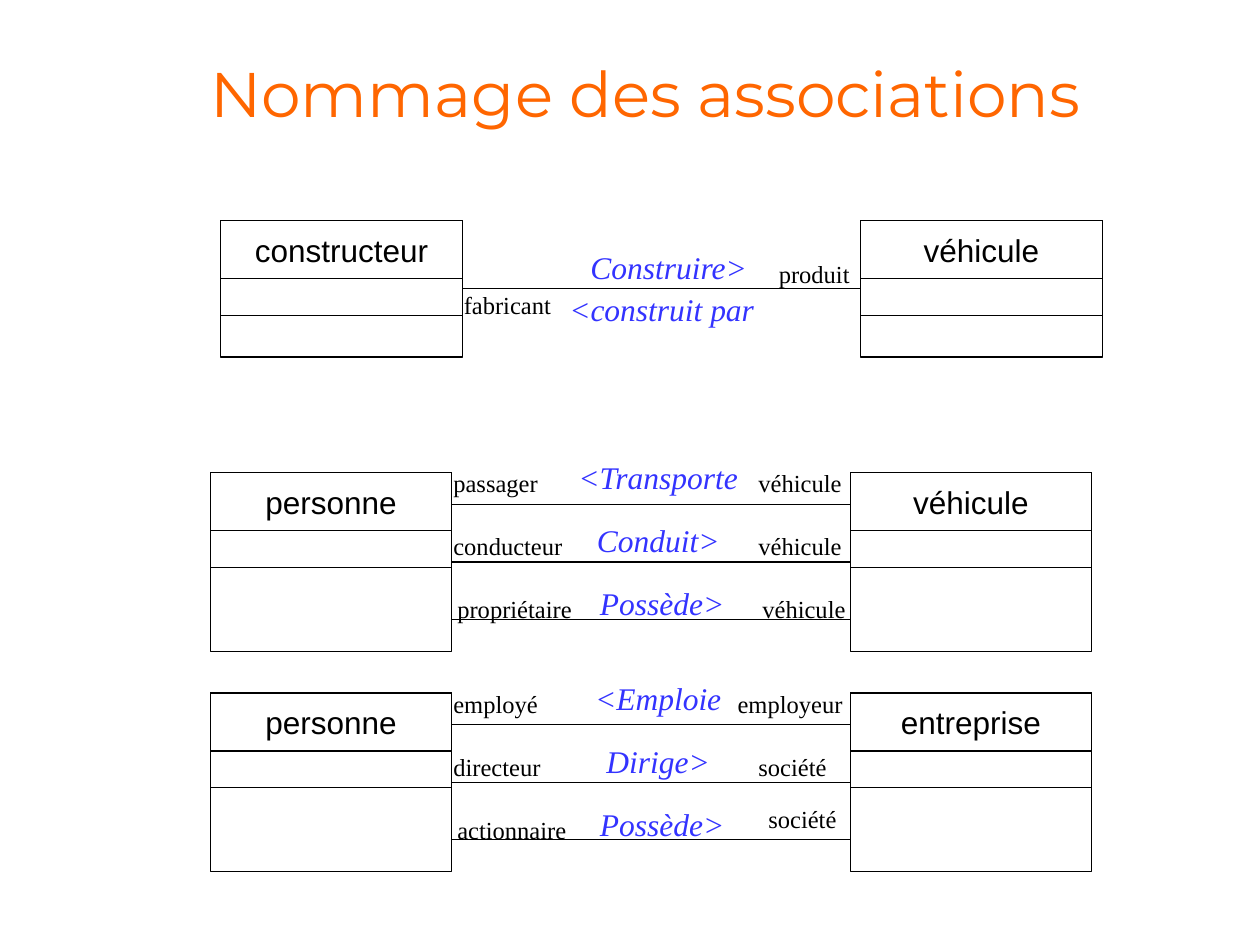
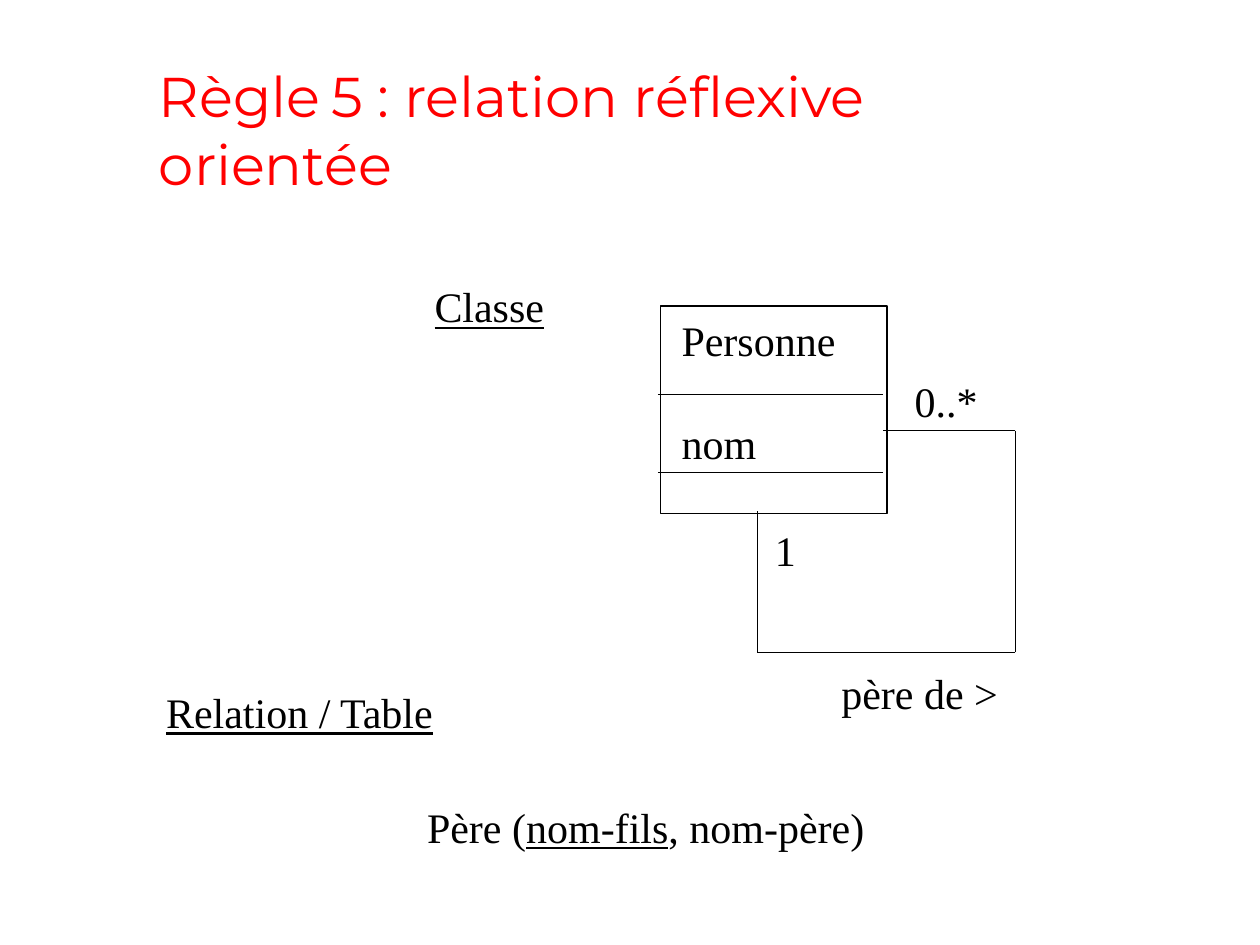
from itertools import pairwise

from pptx import Presentation
from pptx.dml.color import RGBColor
from pptx.enum.shapes import MSO_CONNECTOR, MSO_SHAPE
from pptx.enum.text import MSO_ANCHOR, MSO_AUTO_SIZE, PP_ALIGN
from pptx.oxml.ns import qn
from pptx.util import Cm, Pt
from lxml import etree

LEFT, CENTER = PP_ALIGN.LEFT, PP_ALIGN.CENTER
TOP, MIDDLE, BOTTOM = MSO_ANCHOR.TOP, MSO_ANCHOR.MIDDLE, MSO_ANCHOR.BOTTOM
RECTANGLE, STRAIGHT = MSO_SHAPE.RECTANGLE, MSO_CONNECTOR.STRAIGHT
NO_FIT = MSO_AUTO_SIZE.NONE
TITLE_ONLY = 5

BLACK, ORANGE, RED, BLUE = "000000", "FF6600", "FF0000", "3333FF"
TITLE_FONT, CLASS_FONT, TEXT_FONT = "Montserrat", "Arial", "Times New Roman"
LINE_WIDTH = 0.75

CLASS_WIDTH, HEADING_HEIGHT, DIVIDER_OFFSET = 4.87, 1.17, 1.91
CLASS_DISTANCE = 12.9
VERB_CENTER, LEFT_ROLE_OFFSET, RIGHT_ROLE_OFFSET = 9.03, 4.65, 10.8
FIRST_LINE, LINE_STEP = 0.64, 1.16
FIRST_VERB, FIRST_ROLE, LABEL_STEP = -0.42, -0.21, 1.27
LAST_ROW_SHIFT = 0.08

LABEL_WIDTHS = {
    "Construire>": 3.8, "<construit par": 4.4, "fabricant": 2.4, "produit": 2.05,
    "<Transporte": 3.9, "Conduit>": 3.15, "Possède>": 3.15,
    "<Emploie": 3.2, "Dirige>": 2.75,
    "passager": 2.35, "conducteur": 2.85, "propriétaire": 2.95, "véhicule": 2.3,
    "employé": 2.35, "directeur": 2.4, "actionnaire": 2.85,
    "employeur": 2.75, "société": 2.0,
}


def color(hex_string):
    return RGBColor.from_string(hex_string)


def format_font(font, name, size, hex_string=BLACK):
    font.name = name
    font.size = Pt(size)
    font.color.rgb = color(hex_string)


def add_title(slide, pieces, box, size, hex_string, alignment, anchor):
    title = slide.shapes.title
    title.left, title.top, title.width, title.height = map(Cm, box)
    frame = title.text_frame
    frame.word_wrap = True
    frame.auto_size = NO_FIT
    frame.vertical_anchor = anchor
    paragraph = frame.paragraphs[0]
    paragraph.alignment = alignment
    for piece in pieces:
        paragraph.add_run().text = piece
    format_font(paragraph.font, TITLE_FONT, size, hex_string)
    return paragraph


def add_text(slide, text, x, y, width, height, size, hex_string=BLACK,
             alignment=LEFT, anchor=TOP):
    text_box = slide.shapes.add_textbox(Cm(x), Cm(y), Cm(width), Cm(height))
    frame = text_box.text_frame
    frame.word_wrap = True
    frame.auto_size = NO_FIT
    frame.vertical_anchor = anchor
    frame.text = text
    for paragraph in frame.paragraphs:
        paragraph.alignment = alignment
        format_font(paragraph.font, TEXT_FONT, size, hex_string)
    return frame


def add_rectangle(slide, x, y, width, height):
    shape = slide.shapes.add_shape(RECTANGLE, Cm(x), Cm(y), Cm(width), Cm(height))
    shape.shadow.inherit = False
    shape.fill.background()
    shape.line.color.rgb = color(BLACK)
    shape.line.width = Pt(LINE_WIDTH)
    return shape


def add_line(slide, start, end):
    line = slide.shapes.add_connector(STRAIGHT, *map(Cm, (*start, *end)))
    line.line.color.rgb = color(BLACK)
    line.line.width = Pt(LINE_WIDTH)
    etree.SubElement(line._element.spPr, qn("a:effectLst"))


def add_class(slide, name, x, y, height):
    heading = add_rectangle(slide, x, y, CLASS_WIDTH, HEADING_HEIGHT)
    frame = heading.text_frame
    frame.margin_left = frame.margin_right = 0
    frame.margin_top = frame.margin_bottom = Cm(0.2)
    frame.vertical_anchor = TOP
    frame.text = name
    paragraph = frame.paragraphs[0]
    paragraph.alignment = CENTER
    format_font(paragraph.font, CLASS_FONT, 18)
    add_rectangle(slide, x, y, CLASS_WIDTH, height)
    divider = y + DIVIDER_OFFSET
    add_line(slide, (x, divider), (x + CLASS_WIDTH, divider))


def add_class_pair(slide, names, x, y, height):
    for index, name in enumerate(names):
        add_class(slide, name, x + index * CLASS_DISTANCE, y, height)


def add_association(slide, x, y):
    add_line(slide, (x + CLASS_WIDTH, y), (x + CLASS_DISTANCE, y))


def add_verb(slide, verb, center, y):
    width = LABEL_WIDTHS[verb]
    frame = add_text(slide, verb, center - width / 2, y, width, 1.02, 18, BLUE, CENTER, MIDDLE)
    frame.paragraphs[0].font.italic = True


def add_role(slide, role, x, y):
    add_text(slide, role, x, y, LABEL_WIDTHS[role], 0.86, 14)


def add_two_way_diagram(slide, x, y):
    add_class_pair(slide, ("constructeur", "véhicule"), x, y, 2.75)
    add_association(slide, x, y + 1.37)
    add_verb(slide, "Construire>", x + VERB_CENTER, y + 0.43)
    add_verb(slide, "<construit par", x + VERB_CENTER - 0.14, y + 1.27)
    add_role(slide, "fabricant", x + LEFT_ROLE_OFFSET, y + 1.27)
    add_role(slide, "produit", x + RIGHT_ROLE_OFFSET + 0.2, y + 0.64)


def add_multiple_diagram(slide, names, associations, x, y):
    add_class_pair(slide, names, x, y, 3.6)
    for index, (verb, left_role, right_role, nudge) in enumerate(associations):
        shift = LAST_ROW_SHIFT if index == len(associations) - 1 else 0
        role_y = y + FIRST_ROLE + index * LABEL_STEP
        add_association(slide, x, y + FIRST_LINE + index * LINE_STEP)
        add_verb(slide, verb, x + VERB_CENTER + shift, y + FIRST_VERB + index * LABEL_STEP)
        add_role(slide, left_role, x + LEFT_ROLE_OFFSET + shift, role_y)
        add_role(slide, right_role, x + RIGHT_ROLE_OFFSET + shift + nudge[0], role_y + nudge[1])


def build_naming_slide(presentation):
    slide = presentation.slides.add_slide(presentation.slide_layouts[TITLE_ONLY])
    add_title(slide, ["Nommage des associations"], (2.11, 0.86, 21.8, 1.9), 36, ORANGE,
              CENTER, BOTTOM)
    add_two_way_diagram(slide, 4.45, 4.45)
    add_multiple_diagram(slide, ("personne", "véhicule"), [
        ("<Transporte", "passager", "véhicule", (0, 0)),
        ("Conduit>", "conducteur", "véhicule", (0, 0)),
        ("Possède>", "propriétaire", "véhicule", (0, 0)),
    ], 4.24, 9.53)
    add_multiple_diagram(slide, ("personne", "entreprise"), [
        ("<Emploie", "employé", "employeur", (-0.42, 0)),
        ("Dirige>", "directeur", "société", (0, 0)),
        ("Possède>", "actionnaire", "société", (0.12, -0.21)),
    ], 4.24, 13.97)


def add_reflexive_class(slide, x, y):
    add_rectangle(slide, x, y, 4.57, 4.19)
    for offset in (1.78, 3.35):
        add_line(slide, (x - 0.05, y + offset), (x + 4.5, y + offset))
    members = add_text(slide, "Personne\nnom", x + 0.18, y + 0.05, 3.8, 3.3, 24)
    members.paragraphs[1].space_before = Pt(30)
    loop = [(4.5, 2.51), (7.16, 2.51), (7.16, 6.98), (1.96, 6.98), (1.96, 4.14)]
    corners = [(x + across, y + down) for across, down in loop]
    for start, end in pairwise(corners):
        add_line(slide, start, end)
    add_text(slide, "0..*", x + 4.88, y + 1.27, 1.95, 1.27, 24)
    add_text(slide, "1", x + 2.06, y + 4.27, 1.05, 1.27, 24)
    add_text(slide, "père de >", x + 3.4, y + 7.16, 4.05, 1.27, 24)


def build_reflexive_slide(presentation):
    slide = presentation.slides.add_slide(presentation.slide_layouts[TITLE_ONLY])
    title = add_title(slide, ["Règle", " ", "5 : relation réflexive orientée"],
                      (2.95, 1.12, 18.9, 3.0), 32, RED, LEFT, TOP)
    format_font(title.runs[1].font, TEXT_FONT, 24)
    add_reflexive_class(slide, 13.31, 6.17)
    for heading, x, y, width in (("Classe", 8.51, 5.54, 2.9),
                                 ("Relation / Table", 3.1, 13.72, 6.15)):
        frame = add_text(slide, heading, x, y, width, 1.27, 24)
        frame.paragraphs[0].font.underline = True
    relation = add_text(slide, "Père (", 8.36, 16.03, 9.5, 1.27, 24).paragraphs[0]
    key = relation.add_run()
    key.text = "nom-fils"
    key.font.underline = True
    relation.add_run().text = ", nom-père)"


def main():
    presentation = Presentation()
    presentation.slide_width, presentation.slide_height = Cm(25.4), Cm(19.05)
    build_naming_slide(presentation)
    build_reflexive_slide(presentation)
    presentation.save("out.pptx")


if __name__ == "__main__":
    main()
